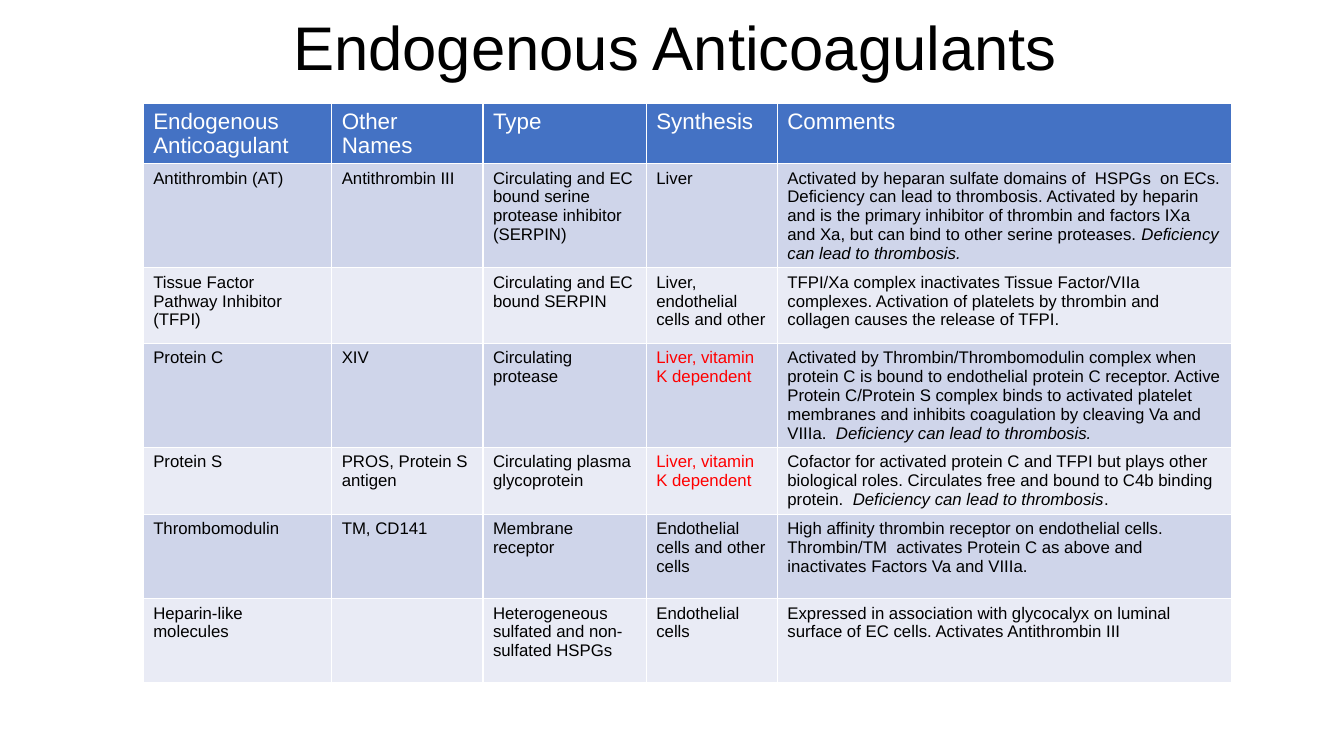
from pptx import Presentation
from pptx.dml.color import RGBColor
from pptx.enum.text import MSO_ANCHOR, PP_ALIGN
from pptx.util import Inches, Pt

# Content: a cell is plain text, or a list of (text, format) spans
BLACK = RGBColor(0x00, 0x00, 0x00)
WHITE = RGBColor(0xFF, 0xFF, 0xFF)
RED = RGBColor(0xFF, 0x00, 0x00)
HEADER_BLUE = RGBColor(0x44, 0x72, 0xC4)
BANDS = (RGBColor(0xE9, 0xEB, 0xF5), RGBColor(0xCF, 0xD5, 0xEA))

TITLE = "Endogenous Anticoagulants"
ITALIC = {"italic": True}
VITAMIN_K = [("Liver, vitamin K dependent", {"color": RED})]

ROWS = [
    ("Endogenous Anticoagulant", "Other Names", "Type", "Synthesis", "Comments"),
    ("Antithrombin (AT)", "Antithrombin III",
     "Circulating and EC bound serine protease inhibitor (SERPIN)", "Liver",
     [("Activated by heparan sulfate domains of  HSPGs  on ECs. Deficiency can lead to "
       "thrombosis. Activated by heparin and is the primary inhibitor of thrombin and "
       "factors IXa and Xa, but can bind to other serine proteases. ", {}),
      ("Deficiency can lead to thrombosis.", ITALIC)]),
    ("Tissue Factor Pathway Inhibitor (TFPI)", "", "Circulating and EC bound SERPIN",
     "Liver, endothelial cells and other",
     "TFPI/Xa complex inactivates Tissue Factor/VIIa complexes. Activation of platelets "
     "by thrombin and collagen causes the release of TFPI."),
    ("Protein C", "XIV", "Circulating protease", VITAMIN_K,
     [("Activated by Thrombin/Thrombomodulin complex when protein C is bound to "
       "endothelial protein C receptor. Active Protein C/Protein S complex binds to "
       "activated platelet membranes and inhibits coagulation by cleaving Va and "
       "VIIIa.  ", {}),
      ("Deficiency can lead to thrombosis.", ITALIC)]),
    ("Protein S", "PROS, Protein S antigen", "Circulating plasma glycoprotein", VITAMIN_K,
     [("Cofactor for activated protein C and TFPI but plays other biological roles. "
       "Circulates free and bound to C4b binding protein.  ", {}),
      ("Deficiency can lead to thrombosis", ITALIC), (".", {})]),
    ("Thrombomodulin", "TM, CD141", "Membrane receptor",
     "Endothelial cells and other cells",
     "High affinity thrombin receptor on endothelial cells. Thrombin/TM  activates "
     "Protein C as above and inactivates Factors Va and VIIIa."),
    ("Heparin-like molecules", "", "Heterogeneous sulfated and non-sulfated HSPGs",
     "Endothelial cells",
     "Expressed in association with glycocalyx on luminal surface of EC cells. "
     "Activates Antithrombin III"),
]
COLUMN_WIDTHS = (1.87, 1.5, 1.62, 1.3, 4.51)
ROW_HEIGHTS = (0.57, 1.02, 0.75, 0.65, 0.65, 0.84, 0.83)


def add_text(para, text, size=12, color=BLACK, italic=False):
    span = para.add_run()
    span.text = text
    font = span.font
    font.name = "Arial"
    font.size = Pt(size)
    font.bold = False
    font.italic = italic
    font.color.rgb = color


def add_title(page):
    box = page.shapes.add_textbox(Inches(2.36), Inches(0.11), Inches(8.68), Inches(0.77))
    frame = box.text_frame
    frame.word_wrap = True
    frame.vertical_anchor = MSO_ANCHOR.BOTTOM
    para = frame.paragraphs[0]
    para.alignment = PP_ALIGN.CENTER
    para.line_spacing = 0.9
    add_text(para, TITLE, size=44)


def add_anticoagulant_table(page):
    # The default table style supplies the white cell borders
    table = page.shapes.add_table(
        len(ROWS), len(COLUMN_WIDTHS), Inches(1.42), Inches(1.03),
        Inches(sum(COLUMN_WIDTHS)), Inches(sum(ROW_HEIGHTS))).table
    for column, width in zip(table.columns, COLUMN_WIDTHS):
        column.width = Inches(width)
    for row, height in zip(table.rows, ROW_HEIGHTS):
        row.height = Inches(height)

    for row_index, row in enumerate(ROWS):
        is_header = row_index == 0
        base = {"size": 16, "color": WHITE} if is_header else {}
        for column_index, content in enumerate(row):
            cell = table.cell(row_index, column_index)
            cell.fill.solid()
            cell.fill.fore_color.rgb = HEADER_BLUE if is_header else BANDS[row_index % 2]
            spans = [(content, {})] if isinstance(content, str) else content
            for text, style in spans:
                if text:
                    add_text(cell.text_frame.paragraphs[0], text, **{**base, **style})


def main():
    deck = Presentation()
    deck.slide_width = Inches(13.33)
    deck.slide_height = Inches(7.5)
    page = deck.slides.add_slide(deck.slide_layouts[6])
    add_anticoagulant_table(page)
    add_title(page)
    deck.save("out.pptx")


if __name__ == "__main__":
    main()
